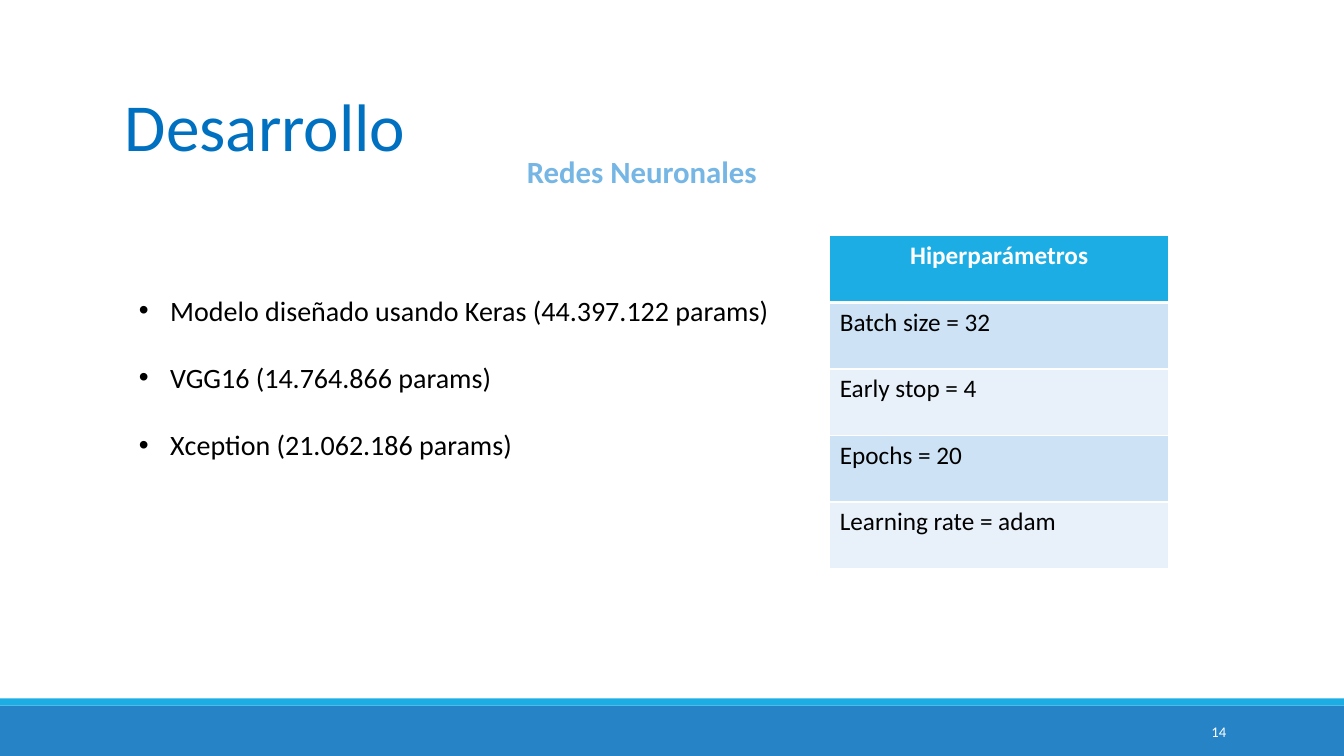
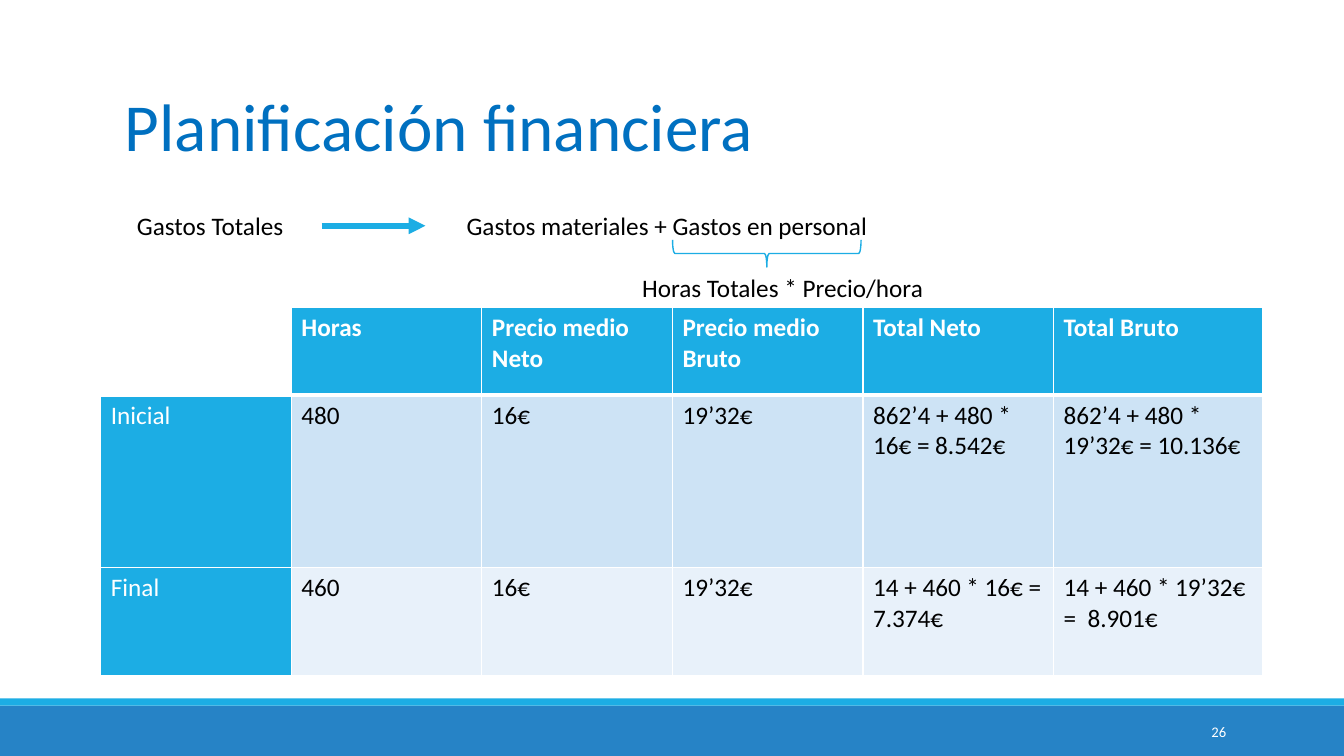
from lxml import etree
from pptx import Presentation, util as u
from pptx.dml.color import RGBColor
from pptx.enum import shapes, text
from pptx.oxml import ns

PX = 9144  # 100 px to the inch
FONT = "Calibri"
WHITE = RGBColor(0xFF, 0xFF, 0xFF)
BLACK = RGBColor(0, 0, 0)
BLUE = RGBColor(0x26, 0x83, 0xC6)
CYAN = RGBColor(0x1C, 0xAD, 0xE4)
TITLE_BLUE = RGBColor(0x00, 0x70, 0xC0)
SOFT_BLUE = RGBColor(0x75, 0xB6, 0xE5)
ROW_FILLS = (RGBColor(0xCD, 0xE3, 0xF5), RGBColor(0xE8, 0xF1, 0xFA))
W, H = 1333, 750
LEFT, CENTER, RIGHT = text.PP_ALIGN.LEFT, text.PP_ALIGN.CENTER, text.PP_ALIGN.RIGHT


def px(*values):
    return [u.Emu(v * PX) for v in values]


def add_xml(parent, tag, **attrs):
    return etree.SubElement(parent, ns.qn(tag), attrs)


def style(p, size, color, bold=False, align=LEFT):
    p.alignment = align
    for r in p.runs:
        r.font.name = FONT
        r.font.size = u.Pt(size)
        r.font.bold = bold
        r.font.color.rgb = color


def add_text(s, box, content, size=18, color=BLACK, bold=False, align=LEFT):
    tf = s.shapes.add_textbox(*px(*box)).text_frame
    tf.word_wrap = True
    tf.text = content
    for p in tf.paragraphs:
        style(p, size, color, bold, align)
    return tf


def add_bullets(s, box, items):
    tf = add_text(s, box, "\n".join(items), 20)
    for i, p in enumerate(tf.paragraphs):
        if i:
            p.space_before = u.Pt(24)
        pPr = p._p.get_or_add_pPr()
        pPr.set("marL", str(31 * PX))
        pPr.set("indent", str(-31 * PX))
        add_xml(pPr, "a:buFont", typeface="Arial")
        add_xml(pPr, "a:buChar", char="•")


def add_band(s, top, height, color):
    sp = s.shapes.add_shape(shapes.MSO_SHAPE.RECTANGLE, *px(0, top, W, height))
    sp.shadow.inherit = False
    sp.fill.solid()
    sp.fill.fore_color.rgb = color
    sp.line.fill.background()


def add_arrow(s, x1, x2, y):
    line = s.shapes.add_connector(shapes.MSO_CONNECTOR.STRAIGHT, *px(x1, y, x2, y))
    line.line.color.rgb = CYAN
    line.line.width = u.Pt(4)
    add_xml(line.line._get_or_add_ln(), "a:tailEnd", type="triangle")
    add_xml(line._element.spPr, "a:effectLst")


def add_brace_below(s, left, top, width, height):
    """Brace that opens upwards: a right brace turned about its centre."""
    box = (left + (width - height) // 2, top + (height - width) // 2, height, width)
    sp = s.shapes.add_shape(shapes.MSO_SHAPE.RIGHT_BRACE, *px(*box))
    sp.rotation = 90
    sp.shadow.inherit = False
    sp.fill.background()
    sp.line.color.rgb = CYAN
    sp.line.width = u.Pt(1)


def set_borders(cell, row):
    """White grid, with a thick rule between the header and the body."""
    tcPr = cell._tc.get_or_add_tcPr()
    widths = {"L": 1, "R": 1, "T": 3 if row == 1 else 1, "B": 3 if row == 0 else 1}
    for side, width in widths.items():
        ln = add_xml(tcPr, "a:ln" + side, w=str(u.Pt(width)))
        add_xml(add_xml(ln, "a:solidFill"), "a:srgbClr", val=str(WHITE))


def add_table(s, left, top, widths, heights, rows, header_align=LEFT, row_heads=False):
    frame = s.shapes.add_table(len(heights), len(widths),
                               *px(left, top, sum(widths), sum(heights)))
    table = frame.table
    for column, width in zip(table.columns, px(*widths)):
        column.width = width
    for row, height in zip(table.rows, px(*heights)):
        row.height = height
    for i, row in enumerate(rows):
        for j, content in enumerate(row):
            cell = table.cell(i, j)
            is_header = i == 0
            is_head = is_header or (row_heads and j == 0)
            set_borders(cell, i)
            cell.fill.solid()
            head_fill = CYAN if content else WHITE
            cell.fill.fore_color.rgb = head_fill if is_head else ROW_FILLS[(i - 1) % 2]
            cell.text_frame.text = content
            style(cell.text_frame.paragraphs[0], 18, WHITE if is_head else BLACK,
                  is_header, header_align if is_header else LEFT)


def add_slide(prs, title, number):
    s = prs.slides.add_slide(prs.slide_layouts[6])
    add_band(s, 700, 50, BLUE)
    add_band(s, 693, 7, CYAN)
    add_text(s, (114, 79, 1045, 91), title, 48, TITLE_BLUE)
    tf = add_text(s, (1083, 706, 143, 40), str(number), 10.5, WHITE, align=RIGHT)
    tf.vertical_anchor = text.MSO_ANCHOR.MIDDLE
    return s


def build_networks(prs):
    s = add_slide(prs, "Desarrollo", 14)
    add_text(s, (506, 147, 261, 47), "Redes Neuronales", 22, SOFT_BLUE, True, CENTER)
    settings = ("Hiperparámetros", "Batch size = 32", "Early stop = 4",
                "Epochs = 20", "Learning rate = adam")
    add_table(s, 823, 234, [336], [66] * len(settings),
              [[item] for item in settings], CENTER)
    add_bullets(s, (128, 286, 674, 178), (
        "Modelo diseñado usando Keras (44.397.122 params)",
        "VGG16 (14.764.866 params)",
        "Xception (21.062.186 params)"))


def build_finances(prs):
    s = add_slide(prs, "Planificación financiera", 26)
    add_text(s, (126, 204, 192, 40), "Gastos Totales")
    add_text(s, (453, 204, 667, 40), "Gastos materiales + Gastos en personal")
    add_arrow(s, 319, 422, 224)
    add_brace_below(s, 667, 238, 187, 27)
    add_text(s, (627, 265, 299, 40), "Horas Totales * Precio/hora")
    add_table(s, 100, 305, [189] * 5 + [207], [87, 171, 107], (
        ("", "Horas", "Precio medio Neto", "Precio medio Bruto",
         "Total Neto", "Total Bruto"),
        ("Inicial", "480", "16€", "19’32€",
         "862’4 + 480 * 16€ = 8.542€", "862’4 + 480 * 19’32€ = 10.136€"),
        ("Final", "460", "16€", "19’32€",
         "14 + 460 * 16€ = 7.374€", "14 + 460 * 19’32€ =  8.901€"),
    ), row_heads=True)


def main():
    prs = Presentation()
    prs.slide_width, prs.slide_height = px(W, H)
    build_networks(prs)
    build_finances(prs)
    prs.save("out.pptx")


if __name__ == "__main__":
    main()
